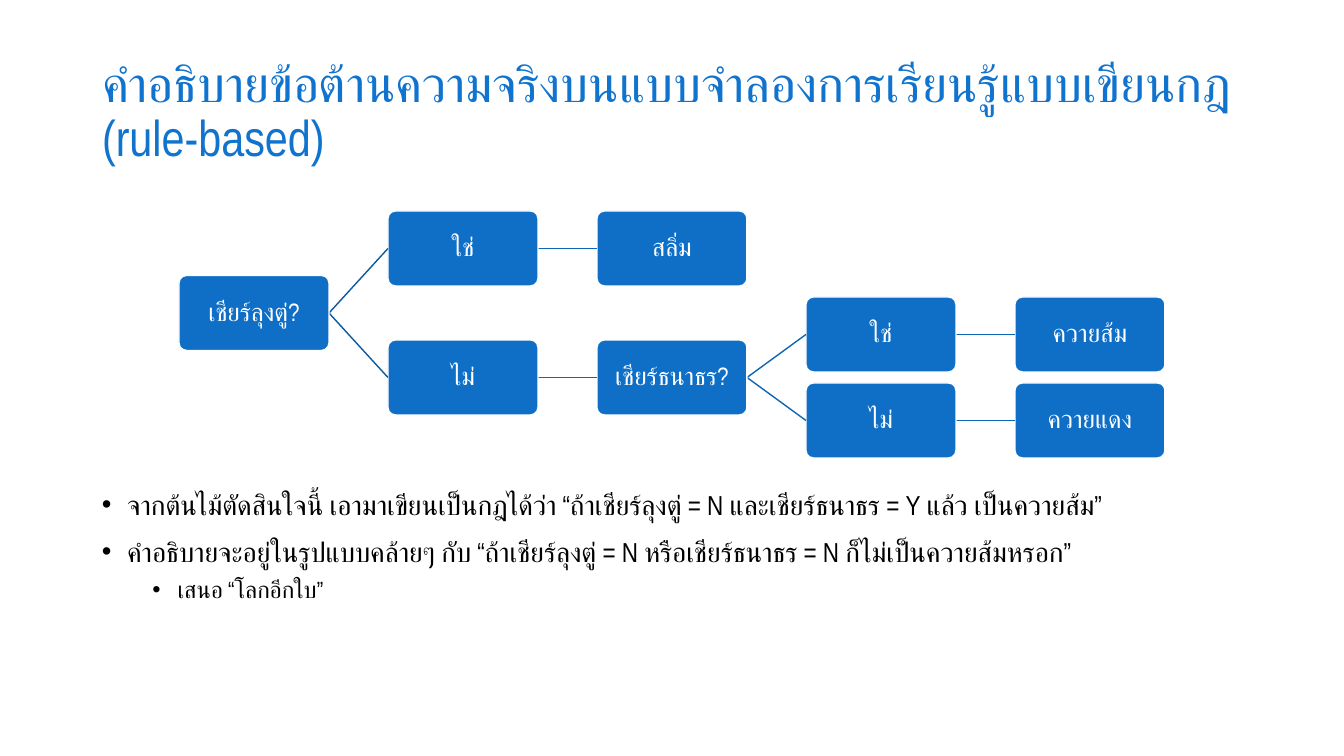
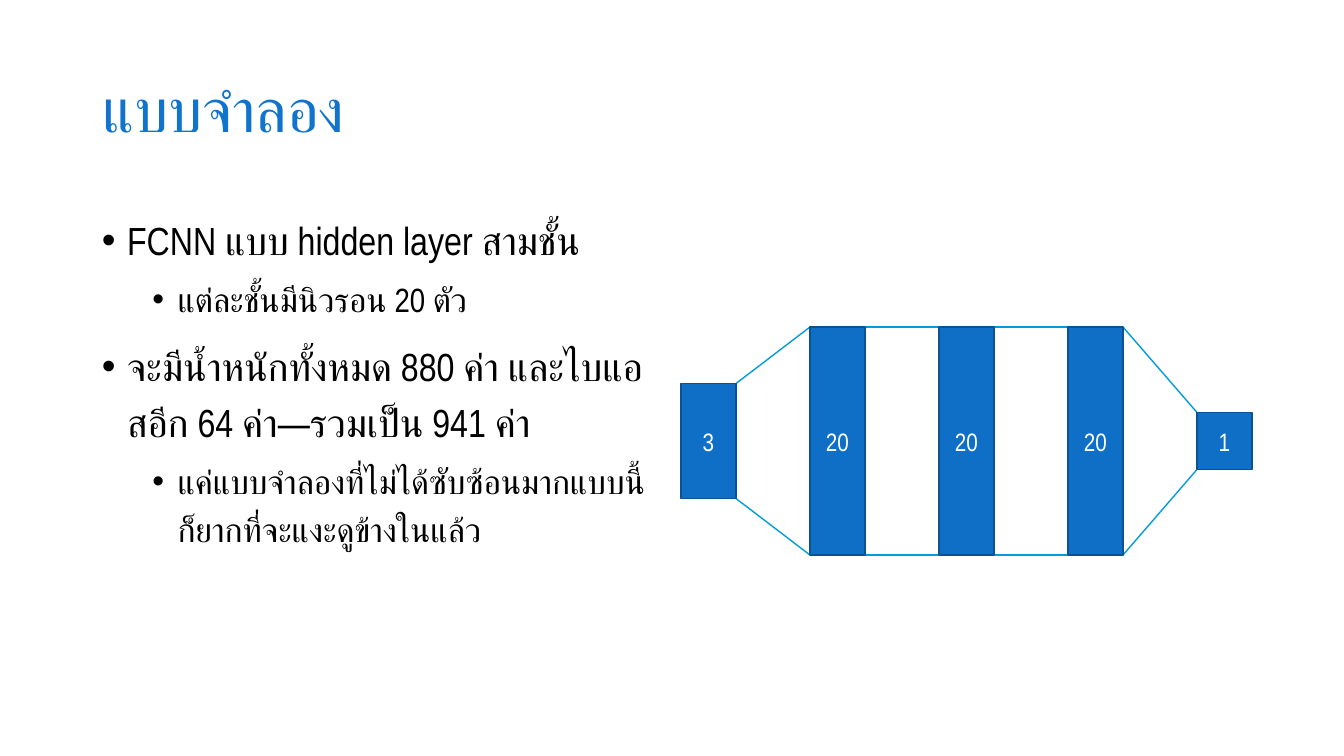
from dataclasses import dataclass
from itertools import count
from typing import Iterator

from lxml.etree import SubElement
from pptx import Presentation
from pptx.dml.color import RGBColor
from pptx.enum.shapes import MSO_CONNECTOR as CONN, MSO_SHAPE as SHAPE
from pptx.enum.text import MSO_ANCHOR as ANCHOR, MSO_AUTO_SIZE as AUTO, PP_ALIGN as ALIGN
from pptx.oxml.ns import qn
from pptx.util import Emu, Pt

FONT = "Arial Narrow"
TITLE_BLUE, BLUE, WHITE, BLACK = "1074CE", "0F6FC6", "FFFFFF", "000000"
ROOT_LINK, LINK = "0C599F", "0E65B4"
LAYER_EDGE, FLOW_EDGE = "0B5292", "009DD9"

LEFT, CONTENT_W = 92, 1159
NODE_W, NODE_H, COL_STEP, ROW_STEP = 150, 75, 209, 86
TREE_X, TREE_Y = 179, 211
LAYER_W, LAYER_GAP, NET_X, NET_MID = 55, 74, 681, 441


@dataclass(frozen=True)
class Node:
    text: str
    children: tuple["Node", ...] = ()


@dataclass(frozen=True)
class Bullet:
    text: str
    size: float
    level: int = 0


@dataclass(frozen=True)
class Layer:
    neurons: int
    height: int


TREE = Node("เชียร์ลุงตู่?", (
    Node("ใช่", (Node("สลิ่ม"),)),
    Node("ไม่", (
        Node("เชียร์ธนาธร?", (
            Node("ใช่", (Node("ควายส้ม"),)),
            Node("ไม่", (Node("ควายแดง"),)),
        )),
    )),
))
RULE_BULLETS = [
    Bullet("จากต้นไม้ตัดสินใจนี้ เอามาเขียนเป็นกฎได้ว่า “ถ้าเชียร์ลุงตู่ = N และเชียร์ธนาธร = Y แล้ว เป็นควายส้ม”", 19.6),
    Bullet("คำอธิบายจะอยู่ในรูปแบบคล้ายๆ กับ “ถ้าเชียร์ลุงตู่ = N หรือเชียร์ธนาธร = N ก็ไม่เป็นควายส้มหรอก”", 19.6),
    Bullet("เสนอ “โลกอีกใบ”", 16.8, 1),
]
MODEL_BULLETS = [
    Bullet("FCNN แบบ hidden layer สามชั้น", 28),
    Bullet("แต่ละชั้นมีนิวรอน 20 ตัว", 24, 1),
    Bullet("จะมีน้ำหนักทั้งหมด 880 ค่า และไบแอสอีก 64 ค่า—รวมเป็น 941 ค่า", 28),
    Bullet("แค่แบบจำลองที่ไม่ได้ซับซ้อนมากแบบนี้ ก็ยากที่จะแงะดูข้างในแล้ว", 24, 1),
]
LAYERS = [Layer(3, 115), *[Layer(20, 228)] * 3, Layer(1, 57)]


def px(n: float) -> Emu:
    return Emu(round(n * 914400 / 100.8))


def rgb(value: str) -> RGBColor:
    return RGBColor.from_string(value)


def style_runs(p, size: float, color: str) -> None:
    for r in p.runs:
        r.font.size = Pt(size)
        r.font.color.rgb = rgb(color)
        r.font.name = FONT
        SubElement(r.font._element, qn("a:cs"), typeface=FONT)


def add_title_slide(prs, title: str, size: float):
    s = prs.slides.add_slide(prs.slide_layouts[5])
    sp = s.shapes.title
    sp.left, sp.top, sp.width, sp.height = px(LEFT), px(40), px(CONTENT_W), px(146)
    tf = sp.text_frame
    tf.text = title
    tf.auto_size = AUTO.NONE
    tf.vertical_anchor = ANCHOR.MIDDLE
    p = tf.paragraphs[0]
    p.alignment = ALIGN.LEFT
    p.line_spacing = 0.9
    style_runs(p, size, TITLE_BLUE)
    return s


def add_bullets(s, items: list[Bullet], y: int, w: int, h: int, spacing: float) -> None:
    tf = s.shapes.add_textbox(px(LEFT), px(y), px(w), px(h)).text_frame
    tf.word_wrap = True
    for i, item in enumerate(items):
        p = tf.add_paragraph() if i else tf.paragraphs[0]
        p.text = item.text
        p.level = item.level
        pPr = p._p.get_or_add_pPr()
        pPr.set("marL", str(Pt(18 + 36 * item.level)))
        pPr.set("indent", str(-Pt(18)))
        SubElement(pPr, qn("a:buFont"), typeface="Arial")
        SubElement(pPr, qn("a:buChar"), char="•")
        p.line_spacing = spacing
        p.space_before = Pt((5 if item.level else 10) if i else 0)
        style_runs(p, item.size, BLACK)


def add_box(s, kind: SHAPE, x: float, y: float, w: float, h: float,
            fill: str, line: str, text: str = ""):
    sp = s.shapes.add_shape(kind, px(x), px(y), px(w), px(h))
    sp.shadow.inherit = False
    sp.fill.solid()
    sp.fill.fore_color.rgb = rgb(fill)
    sp.line.color.rgb = rgb(line)
    sp.line.width = Pt(1)
    if text:
        tf = sp.text_frame
        tf.text = text
        tf.margin_left = tf.margin_right = tf.margin_top = tf.margin_bottom = px(1)
        tf.vertical_anchor = ANCHOR.MIDDLE
        p = tf.paragraphs[0]
        p.alignment = ALIGN.CENTER
        style_runs(p, 18, WHITE)
    return sp


def add_link(s, x1: float, y1: float, x2: float, y2: float, color: str) -> None:
    link = s.shapes.add_connector(CONN.STRAIGHT, px(x1), px(y1), px(x2), px(y2))
    link.line.color.rgb = rgb(color)
    link.line.width = Pt(1)
    SubElement(link._element.spPr, qn("a:effectLst"))


def draw_tree(s, node: Node, rows: Iterator[int], depth: int = 0) -> float:
    child_rows = [draw_tree(s, child, rows, depth + 1) for child in node.children]
    row = sum(child_rows) / len(child_rows) if child_rows else next(rows)
    x, y = TREE_X + depth * COL_STEP, TREE_Y + row * ROW_STEP
    for child_row in child_rows:
        add_link(s, x + NODE_W, y + NODE_H / 2, x + COL_STEP,
                 TREE_Y + child_row * ROW_STEP + NODE_H / 2, LINK if depth else ROOT_LINK)
    box = add_box(s, SHAPE.ROUNDED_RECTANGLE, x, y, NODE_W, NODE_H, BLUE, WHITE, node.text)
    box.adjustments[0] = 0.1
    p = box.text_frame.paragraphs[0]
    p.line_spacing = 0.9
    return row


def draw_flow(s, x: int, before: Layer, after: Layer) -> None:
    tall = max(before.height, after.height)
    if before.height == after.height:
        add_box(s, SHAPE.RECTANGLE, x, NET_MID - tall / 2, LAYER_GAP, tall, WHITE, FLOW_EDGE)
        return
    sp = add_box(s, SHAPE.TRAPEZOID, x + (LAYER_GAP - tall) / 2, NET_MID - LAYER_GAP / 2,
                 tall, LAYER_GAP, WHITE, FLOW_EDGE)
    sp.adjustments[0] = abs(before.height - after.height) / 2 / LAYER_GAP
    sp.rotation = 270 if before.height < after.height else 90


def draw_network(s, layers: list[Layer]) -> None:
    xs = [NET_X + i * (LAYER_W + LAYER_GAP) for i in range(len(layers))]
    for x, before, after in zip(xs, layers, layers[1:]):
        draw_flow(s, x + LAYER_W, before, after)
    for x, layer in zip(xs, layers):
        add_box(s, SHAPE.RECTANGLE, x, NET_MID - layer.height / 2, LAYER_W, layer.height,
                BLUE, LAYER_EDGE, str(layer.neurons))


def main() -> None:
    prs = Presentation()
    prs.slide_width, prs.slide_height = px(1344), px(756)

    s = add_title_slide(prs, "คำอธิบายข้อต้านความจริงบนแบบจำลองการเรียนรู้แบบเขียนกฎ (rule-based)", 36)
    draw_tree(s, TREE, count())
    add_bullets(s, RULE_BULLETS, 483, CONTENT_W, 198, 1.0)

    s = add_title_slide(prs, "แบบจำลอง", 44)
    add_bullets(s, MODEL_BULLETS, 202, 572, 480, 1.2)
    draw_network(s, LAYERS)

    prs.save("out.pptx")


if __name__ == "__main__":
    main()
